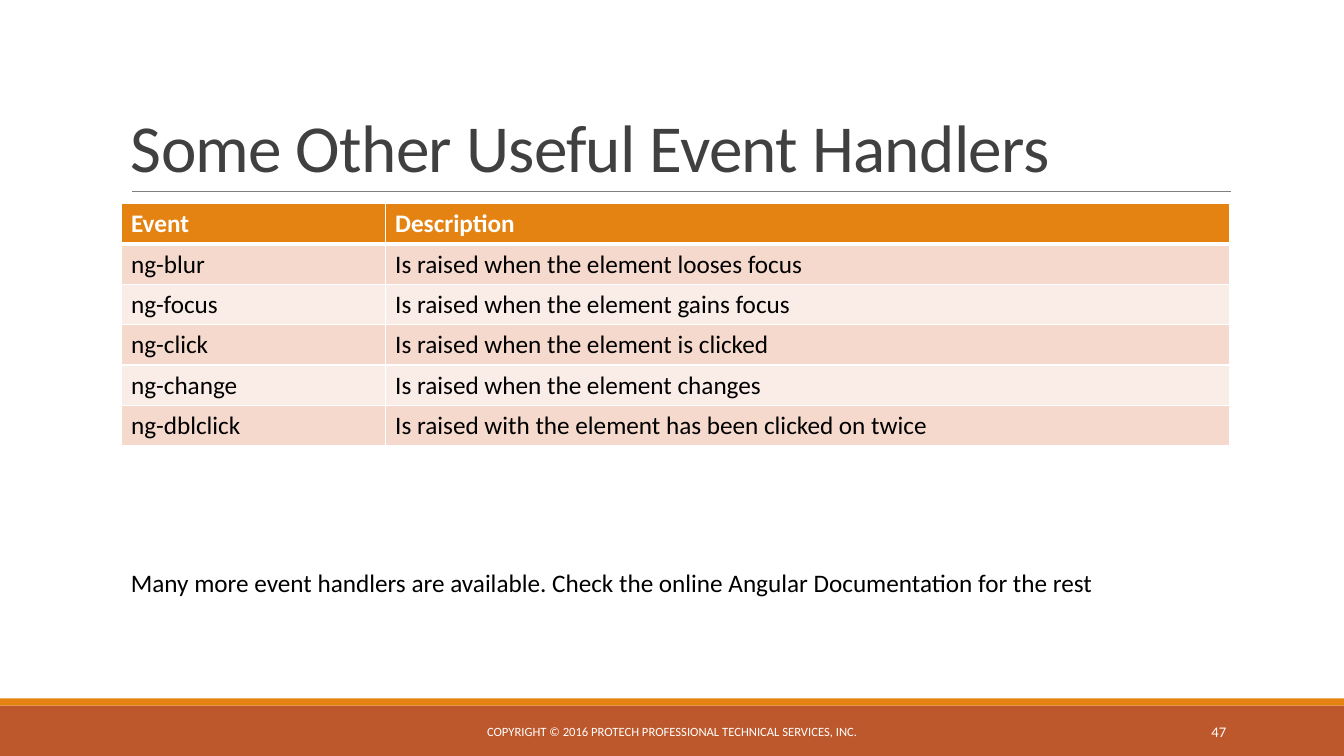
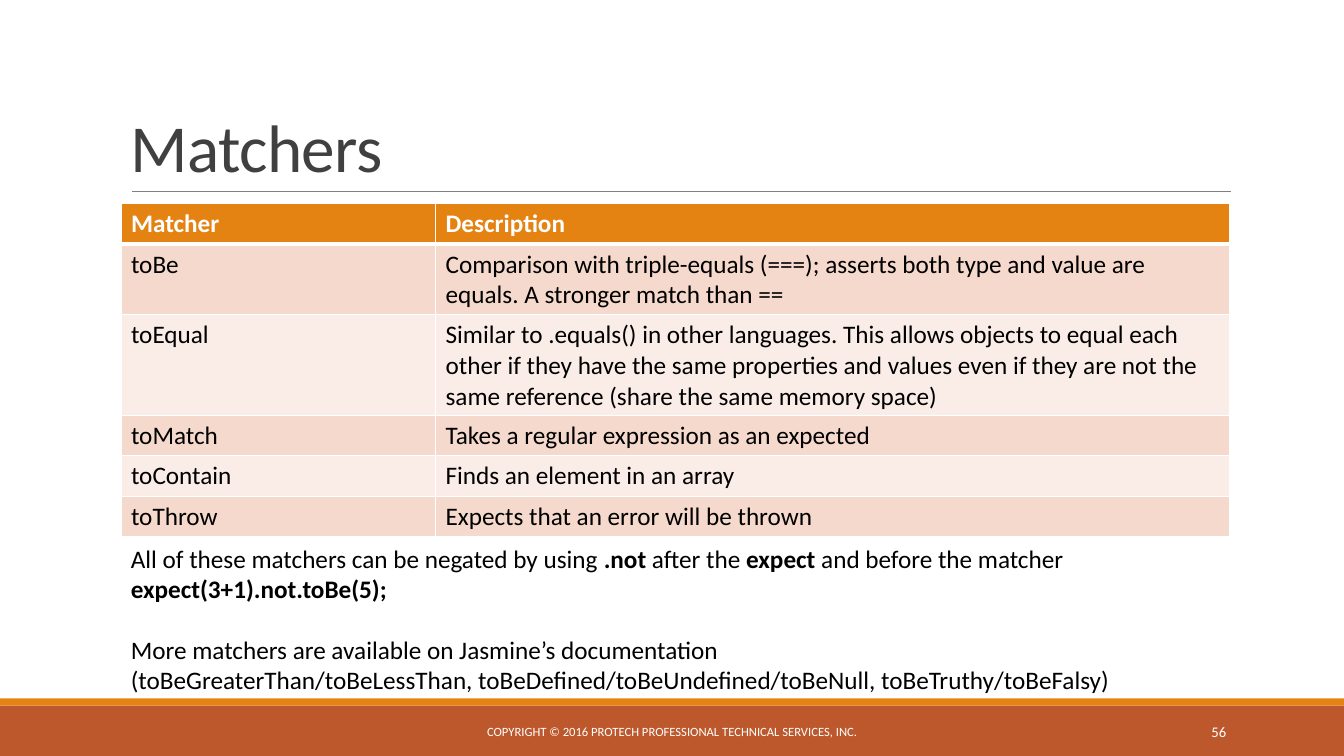
from lxml import etree
from pptx import Presentation
from pptx import util as u
from pptx.dml.color import RGBColor
from pptx.enum import shapes, text
from pptx.oxml import ns

WHITE = RGBColor(0xFF, 0xFF, 0xFF)
BLACK = RGBColor(0, 0, 0)
TITLE_GRAY = RGBColor(0x40, 0x40, 0x40)
RULE_GRAY = RGBColor(0x80, 0x80, 0x80)
ORANGE = RGBColor(0xE4, 0x83, 0x12)
RUST = RGBColor(0xBD, 0x58, 0x2C)
ROW_TINTS = (RGBColor(0xF5, 0xD9, 0xCC), RGBColor(0xFA, 0xED, 0xE7))

FONT = "Calibri"
WIDTH, HEIGHT = 13.33, 7.5
LEFT, CONTENT_WIDTH = 1.2, 11
ROW_HEIGHT, LINE_HEIGHT = 0.4, 0.3
COPYRIGHT = "COPYRIGHT © 2016 PROTECH PROFESSIONAL TECHNICAL SERVICES, INC."

EVENTS = [
    ("Event", "Description"),
    ("ng-blur", "Is raised when the element looses focus"),
    ("ng-focus", "Is raised when the element gains focus"),
    ("ng-click", "Is raised when the element is clicked"),
    ("ng-change", "Is raised when the element changes"),
    ("ng-dblclick", "Is raised with the element has been clicked on twice"),
]
MATCHERS = [
    ("Matcher", "Description"),
    ("toBe", "Comparison with triple-equals (===); asserts both type and value are "
             "equals. A stronger match than =="),
    ("toEqual", "Similar to .equals() in other languages. This allows objects to equal "
                "each other if they have the same properties and values even if they are "
                "not the same reference (share the same memory space)"),
    ("toMatch", "Takes a regular expression as an expected"),
    ("toContain", "Finds an element in an array"),
    ("toThrow", "Expects that an error will be thrown"),
]
EVENT_NOTES = ["Many more event handlers are available. Check the online Angular "
               "Documentation for the rest"]
MATCHER_NOTES = [
    "All of these matchers can be negated by using **.not** after the **expect** "
    "and before the matcher",
    "**expect(3+1).not.toBe(5);**",
    "More matchers are available on Jasmine’s documentation",
    "(toBeGreaterThan/toBeLessThan, toBeDefined/toBeUndefined/toBeNull, "
    "toBeTruthy/toBeFalsy)",
]


def write_paragraph(paragraph, content, size=18, color=BLACK, bold=False,
                    align=text.PP_ALIGN.LEFT, line_spacing=None, tracking=None,
                    space_before=0):
    """Write text with **bold** spans into a paragraph."""
    paragraph.alignment = align
    paragraph.space_before = u.Pt(space_before)
    if line_spacing:
        paragraph.line_spacing = line_spacing
    for index, part in enumerate(content.split("**")):
        if not part:
            continue
        run = paragraph.add_run()
        run.text = part
        run.font.name = FONT
        run.font.size = u.Pt(size)
        run.font.bold = bold or index % 2 == 1
        run.font.color.rgb = color
        if tracking is not None:
            run.font._element.set("spc", str(int(tracking * 100)))


def add_text(slide, box, paragraphs, anchor=text.MSO_ANCHOR.TOP, gap_at=None, **style):
    """Add a wrapped text box, with a one-line gap before paragraph gap_at."""
    frame = slide.shapes.add_textbox(*map(u.Inches, box)).text_frame
    frame.word_wrap = True
    frame.vertical_anchor = anchor
    for index, content in enumerate(paragraphs):
        paragraph = frame.add_paragraph() if index else frame.paragraphs[0]
        write_paragraph(paragraph, content,
                        space_before=22 if index == gap_at else 0, **style)


def add_band(slide, box, color):
    """Add a plain filled rectangle."""
    band = slide.shapes.add_shape(shapes.MSO_SHAPE.RECTANGLE, *map(u.Inches, box))
    band.shadow.inherit = False
    band.fill.solid()
    band.fill.fore_color.rgb = color
    band.line.fill.background()


def add_title(slide, box, title):
    """Add the title and the thin rule along the bottom of its box."""
    left, top, width, height = box
    bottom = top + height
    rule = slide.shapes.add_connector(
        shapes.MSO_CONNECTOR.STRAIGHT, u.Inches(left + 0.11), u.Inches(bottom),
        u.Inches(left + width + 0.01), u.Inches(bottom))
    rule.line.color.rgb = RULE_GRAY
    rule.line.width = u.Pt(0.5)
    etree.SubElement(rule._element.spPr, ns.qn("a:effectLst"))
    add_text(slide, box, [title], anchor=text.MSO_ANCHOR.BOTTOM, size=48,
             color=TITLE_GRAY, line_spacing=0.85, tracking=-0.5)


def add_footer(slide, box, number):
    """Add the two bands, the copyright line and the slide number."""
    left, top, width, height = box
    add_band(slide, (left, top + 0.07, width, height - 0.07), RUST)
    add_band(slide, (left, top, width, 0.07), ORANGE)
    text_top = top + 0.13
    for offset, text_width, content, size, align in (
            (10.83, 1.43, str(number), 10.5, text.PP_ALIGN.RIGHT),
            (4.03, 5.27, COPYRIGHT, 9, text.PP_ALIGN.CENTER)):
        add_text(slide, (left + offset, text_top, text_width, 0.4), [content],
                 anchor=text.MSO_ANCHOR.MIDDLE, size=size, color=WHITE, align=align)


def set_borders(cell, top, bottom):
    """Give a cell white borders with the given top and bottom widths in points."""
    properties = cell._tc.get_or_add_tcPr()
    for side, points in (("L", 1), ("R", 1), ("T", top), ("B", bottom)):
        line = etree.SubElement(properties, ns.qn(f"a:ln{side}"), w=str(u.Pt(points)))
        fill = etree.SubElement(line, ns.qn("a:solidFill"))
        etree.SubElement(fill, ns.qn("a:srgbClr"), val=str(WHITE))


def add_grid(slide, box, rows, first_width, line_counts):
    """Add a two-column table with a header and alternating row tints."""
    left, top, width = box
    heights = [ROW_HEIGHT + LINE_HEIGHT * (count - 1) for count in line_counts]
    table = slide.shapes.add_table(len(rows), 2, *map(
        u.Inches, (left, top, width, sum(heights)))).table
    table.columns[0].width = u.Inches(first_width)
    table.columns[1].width = u.Inches(width - first_width)
    for row_index, (row, height) in enumerate(zip(rows, heights)):
        table.rows[row_index].height = u.Inches(height)
        header = row_index == 0
        for column_index, content in enumerate(row):
            cell = table.cell(row_index, column_index)
            set_borders(cell, top=3 if row_index == 1 else 1, bottom=3 if header else 1)
            cell.fill.solid()
            cell.fill.fore_color.rgb = ORANGE if header else ROW_TINTS[(row_index - 1) % 2]
            write_paragraph(cell.text_frame.paragraphs[0], content, bold=header,
                            color=WHITE if header else BLACK)


def add_table_slide(presentation, title, number, rows, first_width, line_counts,
                    notes, notes_top, gap_at=None):
    """Add a slide with a title, a table, closing remarks and the footer."""
    slide = presentation.slides.add_slide(presentation.slide_layouts[6])
    add_footer(slide, (0, 6.93, WIDTH, HEIGHT - 6.93), number)
    add_title(slide, (LEFT, 0.31, CONTENT_WIDTH, 1.59), title)
    add_grid(slide, (LEFT, 2.02, CONTENT_WIDTH), rows, first_width, line_counts)
    lines = len(notes) + (gap_at is not None)
    add_text(slide, (LEFT, notes_top, CONTENT_WIDTH, 0.1 + LINE_HEIGHT * lines),
             notes, gap_at=gap_at)


def main():
    """Build and save the presentation."""
    presentation = Presentation()
    presentation.slide_width = u.Inches(WIDTH)
    presentation.slide_height = u.Inches(HEIGHT)
    add_table_slide(presentation, "Some Other Useful Event Handlers", 47, EVENTS, 2.62,
                    [1] * len(EVENTS), EVENT_NOTES, 5.58)
    add_table_slide(presentation, "Matchers", 56, MATCHERS, 3.12,
                    [1, 2, 3, 1, 1, 1], MATCHER_NOTES, 5.34, gap_at=2)
    presentation.save("out.pptx")


if __name__ == "__main__":
    main()
